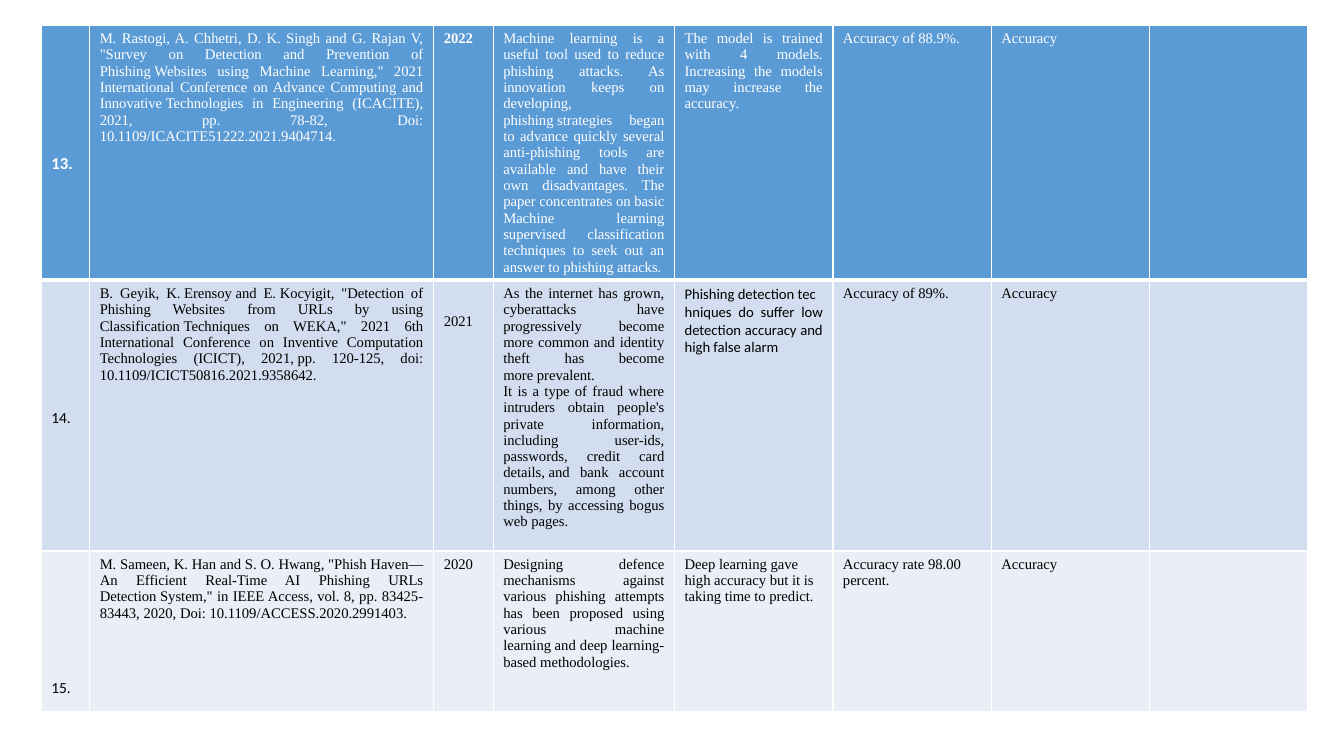
"""Build a slide with three rows of a phishing literature survey table."""
from dataclasses import dataclass
from typing import NamedTuple

from lxml.etree import SubElement
from pptx import Presentation
from pptx.dml.color import RGBColor as Rgb
from pptx.enum.text import PP_PARAGRAPH_ALIGNMENT as Align
from pptx.oxml.ns import qn
from pptx.table import _Cell as Cell
from pptx.util import Cm, Pt


@dataclass(frozen=True)
class Theme:
    """Colours, fonts and type sizes of the slide."""
    white: str = "FFFFFF"
    black: str = "000000"
    head: str = "5B9BD5"
    band: str = "D2DEEF"
    pale: str = "EAEFF7"
    serif: str = "Times New Roman"
    sans: str = "Calibri"
    body: float = 10.5
    label: float = 11
    lead: float = 12
    thin: float = 1
    thick: float = 3


class Note(NamedTuple):
    """Text of one cell, a tilde for each hard space, with its type and top margin."""
    text: str
    just: bool = False
    bold: bool = False
    font: str = Theme.serif
    size: float = Theme.body
    top: float = 0.13


class Row(NamedTuple):
    """One table row with its height in centimetres and its colours."""
    height: float
    fill: str
    ink: str
    above: float
    below: float
    notes: tuple[Note, ...]


THEME = Theme()
LEFT, TOP = 1.04, 0.64
COLS = (1.22, 8.67, 1.5, 4.57) + (3.99,) * 4
HARD = chr(160)


def mark(text: str, size: float = THEME.label, bold: bool = False) -> Note:
    """Return the row number, set low in its cell."""
    return Note(text, bold=bold, font=THEME.sans, size=size, top=3.23)


ROWS = (
    Row(6.4, THEME.head, THEME.white, THEME.thin, THEME.thick, (
        mark("13.", THEME.lead, True),
        Note("M. Rastogi, A. Chhetri, D. K. Singh and G. Rajan V, "
             "\"Survey on Detection and Prevention of Phishing~Websites using "
             "Machine Learning,\" 2021 International Conference on Advance "
             "Computing and Innovative~Technologies in Engineering (ICACITE), "
             "2021, pp. 78-82, Doi: 10.1109/ICACITE51222.2021.9404714.", True),
        Note("2022", bold=True),
        Note("Machine learning is a useful tool used to reduce phishing "
             "attacks. As innovation keeps on developing, "
             "phishing~strategies began to advance quickly several "
             "anti-phishing tools are available and have their own "
             "disadvantages. The paper concentrates on basic Machine learning "
             "supervised classification techniques to seek out an answer "
             "to~phishing attacks.", True),
        Note("The model is trained with 4 models. Increasing the models may "
             "increase the accuracy.", True),
        Note("Accuracy of 88.9%."),
        Note("Accuracy"),
    )),
    Row(6.82, THEME.band, THEME.black, THEME.thick, THEME.thin, (
        mark("14."),
        Note("B. Geyik, K.~Erensoy~and E.~Kocyigit, \"Detection of Phishing "
             "Websites from URLs by using Classification~Techniques on WEKA,\" "
             "2021 6th International Conference on Inventive Computation "
             "Technologies (ICICT), 2021,~pp. 120-125, doi: "
             "10.1109/ICICT50816.2021.9358642.", True),
        Note("2021", top=0.83),
        Note("As the internet has grown, cyberattacks have progressively "
             "become more common and identity theft has become "
             "more~prevalent.\n"
             "It is a type of fraud where intruders obtain people's private "
             "information, including user-ids, passwords, credit card "
             "details,~and bank account numbers, among other things, by "
             "accessing bogus web pages.", True),
        Note("Phishing~detection~techniques do suffer low detection accuracy "
             "and high false alarm", True, font=THEME.sans),
        Note("Accuracy of 89%."),
        Note("Accuracy"),
    )),
    Row(4.04, THEME.pale, THEME.black, THEME.thin, THEME.thin, (
        mark("15."),
        Note("M. Sameen, K. Han and S. O. Hwang, \"Phish Haven—An Efficient "
             "Real-Time AI Phishing URLs Detection~System,\" in IEEE Access, "
             "vol. 8, pp. 83425-83443, 2020, Doi: "
             "10.1109/ACCESS.2020.2991403.", True),
        Note("2020"),
        Note("Designing defence mechanisms against various phishing attempts "
             "has been proposed using various machine learning~and deep "
             "learning-based methodologies.", True),
        Note("Deep learning gave high accuracy but it is taking time to "
             "predict."),
        Note("Accuracy rate 98.00 percent."),
        Note("Accuracy"),
    )),
)


def edge(cell: Cell, row: Row) -> None:
    """Draw the white borders of a cell."""
    props = cell._tc.get_or_add_tcPr()
    sides = {"L": THEME.thin, "R": THEME.thin, "T": row.above, "B": row.below}
    for side, width in sides.items():
        line = SubElement(props, qn(f"a:ln{side}"), w=str(Pt(width)))
        fill = SubElement(line, qn("a:solidFill"))
        SubElement(fill, qn("a:srgbClr"), val=THEME.white)


def write(cell: Cell, note: Note, ink: str) -> None:
    """Put a note into a cell and format its runs."""
    cell.margin_top = Cm(note.top)
    cell.text_frame.text = note.text.replace("~", HARD)
    for para in cell.text_frame.paragraphs:
        para.alignment = Align.JUSTIFY if note.just else Align.LEFT
        for run in para.runs:
            run.font.name = note.font
            run.font.size = Pt(note.size)
            run.font.bold = note.bold
            run.font.color.rgb = Rgb.from_string(ink)


def main() -> None:
    """Build and save the slide."""
    deck = Presentation()
    deck.slide_width, deck.slide_height = Cm(33.87), Cm(19.05)
    slide = deck.slides.add_slide(deck.slide_layouts[6])
    high = sum(row.height for row in ROWS)
    table = slide.shapes.add_table(len(ROWS), len(COLS), Cm(LEFT), Cm(TOP),
                                   Cm(sum(COLS)), Cm(high)).table
    for col, width in zip(table.columns, COLS):
        col.width = Cm(width)
    for line, row in zip(table.rows, ROWS):
        line.height = Cm(row.height)
        for cell in line.cells:
            edge(cell, row)
            cell.fill.solid()
            cell.fill.fore_color.rgb = Rgb.from_string(row.fill)
        for cell, note in zip(line.cells, row.notes):
            write(cell, note, row.ink)
    deck.save("out.pptx")


if __name__ == "__main__":
    main()
